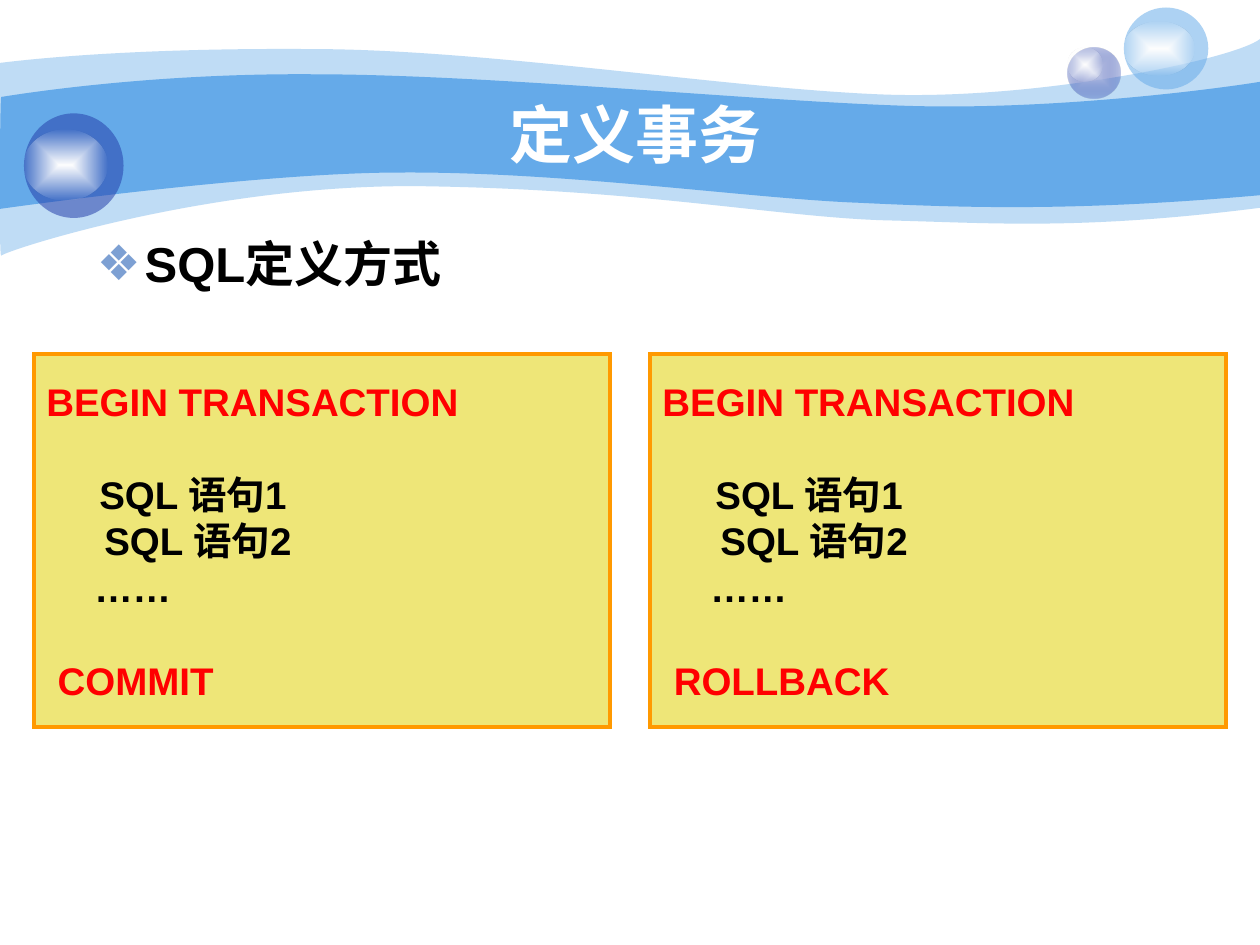
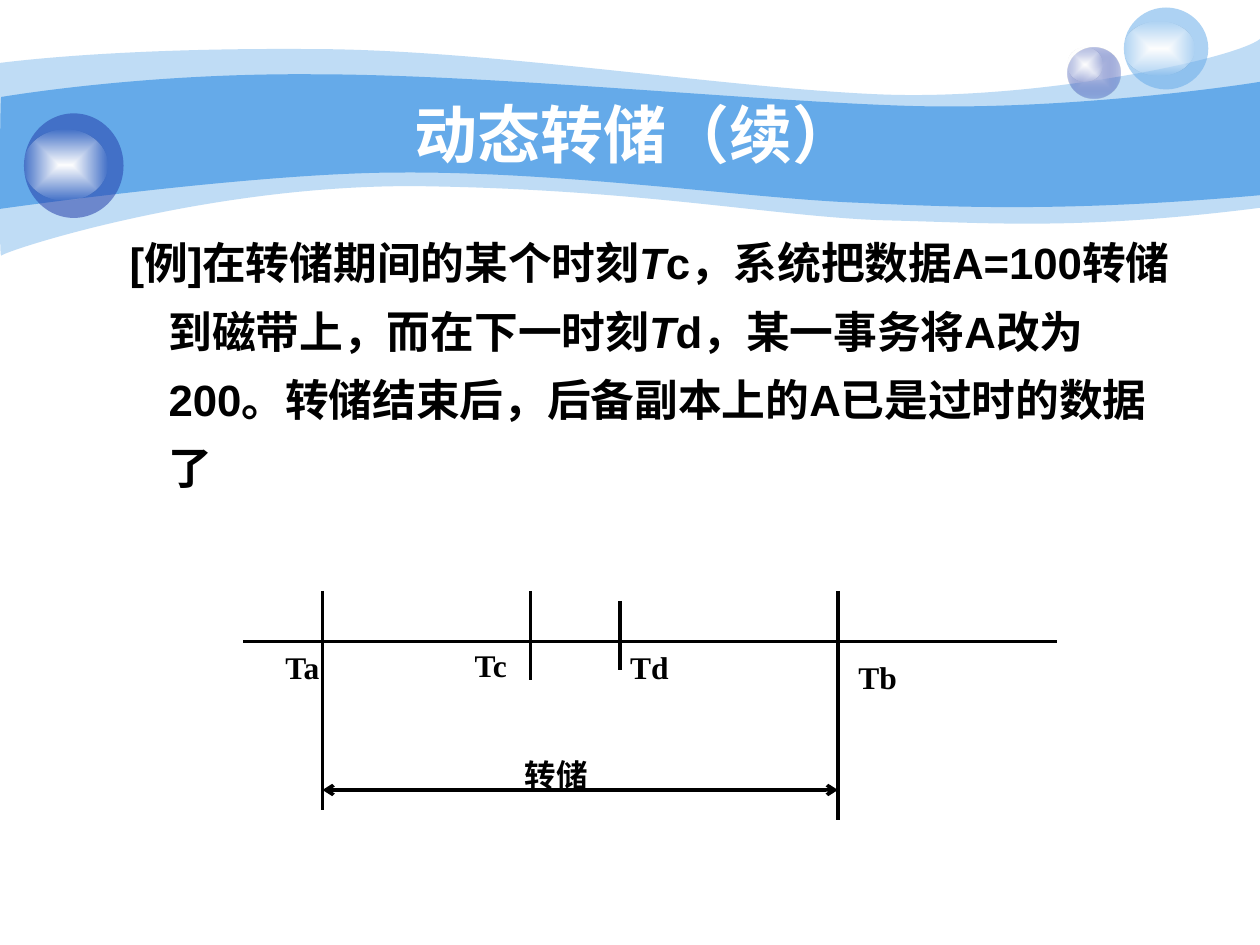
from pptx import Presentation as Deck
from pptx.dml.color import RGBColor as Rgb
from pptx.enum.shapes import MSO_CONNECTOR as Conn, MSO_SHAPE as Kind
from pptx.enum.text import MSO_ANCHOR as Anchor, PP_ALIGN as Align
from pptx.oxml import parse_xml
from pptx.oxml.ns import nsdecls, qn
from pptx.util import Inches, Pt
from lxml.etree import SubElement as Sub

HUE = {"sky": "65AAE9", "navy": "233DA9", "mist": "C7CEE9", "white": "FFFFFF",
       "black": "000000", "red": "FF0000", "sand": "EEE678", "gold": "FF9900",
       "mark": "7DA0D3"}

HEAD = {"size": Pt(36), "name": "Arial", "bold": True, "hue": "white"}
BODY = {"size": Pt(28), "name": "Arial", "bold": True, "hue": "black"}
NOTE = {**BODY, "size": Pt(25)}
CODE = {**BODY, "size": Pt(22)}
TICK = {**BODY, "size": Pt(18), "name": "Times New Roman"}

# Wave outlines: pairs are straight ends, sixes are Bezier curves
PALE = [(0, .5), (.24, .47, 1.07, .38, 2.47, .39), (3.86, .39, 5.75, .7, 6.99, .75),
        (8.22, .8, 9.8, .47, 10, .31), (10, 1.65),
        (8.58, 1.83, 7.87, 1.77, 7.05, 1.75), (6.22, 1.73, 5.15, 1.51, 3.43, 1.48),
        (1.72, 1.44, .04, 1.99, .01, 2.03), (-.01, 2.08, 0, .75, 0, .5)]
DEEP = [(.01, .77), (.02, .77, 1.1, .58, 2.48, .59), (3.86, .59, 5.95, .8, 7.18, .84),
        (8.41, .88, 9.76, .69, 10, .65), (10, 1.55),
        (8.53, 1.68, 7.65, 1.65, 6.82, 1.61), (5.99, 1.58, 4.47, 1.36, 3.17, 1.37),
        (2.03, 1.37, -.02, 1.66, -.01, 1.66), (0, 1.66, 0, .77, .01, .77)]

# Orbs: box, then fill stops of (hue, opacity)
SHINE = [("white", 100), ("white", 0)]
ORBS = [((8.47, .38, .42, .4), [("mist", 100), ("navy", 31)]),
        ((8.47, .38, .28, .27), SHINE),
        ((8.92, .06, .67, .65), [("sky", 53)]),
        ((8.92, .17, .56, .43), SHINE),
        ((.19, .9, .79, .83), [("navy", 53)]),
        ((.19, 1.03, .66, .56), SHINE)]


def rgb(hue):
    return Rgb.from_string(HUE[hue])


def span(box):
    return [Inches(v) for v in box]


def tint(stop):
    hue, pct = stop
    return f'<a:srgbClr val="{HUE[hue]}"><a:alpha val="{pct * 1000}"/></a:srgbClr>'


def paint(shape, stops):
    """Fill with one see-through colour, or a gradient from the centre out."""
    shape.shadow.inherit = False
    shape.line.fill.background()
    shape.fill.background()
    if len(stops) == 1:
        xml = f'<a:solidFill {nsdecls("a")}>{tint(stops[0])}</a:solidFill>'
    else:
        marks = "".join(f'<a:gs pos="{i * 100000}">{tint(s)}</a:gs>'
                        for i, s in enumerate(stops))
        xml = (f'<a:gradFill {nsdecls("a")} rotWithShape="1"><a:gsLst>{marks}</a:gsLst>'
               '<a:path path="rect"><a:fillToRect l="50000" t="50000" r="50000" '
               'b="50000"/></a:path></a:gradFill>')
    props = shape._element.spPr
    props.replace(props.find(qn("a:noFill")), parse_xml(xml))


def wave(slide, segs, stop):
    """Draw the outline, then bend each run of three points into a curve."""
    dots = [span(seg[i:i + 2]) for seg in segs for i in range(0, len(seg), 2)]
    form = slide.shapes.build_freeform(*dots[0], scale=1.0)
    form.add_line_segments(dots[1:], close=False)
    shape = form.convert_to_shape()
    trail = next(shape._element.iter(qn("a:path")))
    legs = iter(trail.findall(qn("a:lnTo")))
    for seg in segs[1:]:
        leg = next(legs)
        if len(seg) == 6:
            leg.addprevious(parse_xml(f'<a:cubicBezTo {nsdecls("a")}/>'))
            bend = leg.getprevious()
            for part in (leg, next(legs), next(legs)):
                bend.append(part[0])
                trail.remove(part)
    Sub(trail, qn("a:close"))
    paint(shape, [stop])


def style(run, look):
    for key, val in look.items():
        if key == "hue":
            run.font.color.rgb = rgb(val)
        else:
            setattr(run.font, key, val)


def write(par, runs, look, left=0, hang=0, **form):
    """Fill a paragraph; runs are (text, extra look) pairs."""
    for key, val in form.items():
        setattr(par, key, val)
    props = par._p.get_or_add_pPr()
    props.set("marL", str(Inches(left)))
    props.set("indent", str(Inches(-hang)))
    for text, extra in runs:
        run = par.add_run()
        run.text = text
        style(run, {**look, **extra})


def label(slide, box, runs, look, anchor=Anchor.TOP, **form):
    frame = slide.shapes.add_textbox(*span(box)).text_frame
    frame.word_wrap = True
    frame.vertical_anchor = anchor
    par = frame.paragraphs[0]
    write(par, runs, look, **form)
    return par


def bullet(par, char):
    props = par._p.get_or_add_pPr()
    Sub(Sub(props, qn("a:buClr")), qn("a:srgbClr")).set("val", HUE["mark"])
    Sub(props, qn("a:buFont")).set("typeface", "Arial")
    Sub(props, qn("a:buChar")).set("char", char)


def panel(slide, left, last):
    """Box with one transaction; rows are text, indent, gap above, hue."""
    box = slide.shapes.add_shape(Kind.RECTANGLE, *span((left, 2.81, 4.57, 2.96)))
    box.shadow.inherit = False
    box.fill.solid()
    box.fill.fore_color.rgb = rgb("sand")
    box.line.color.rgb = rgb("gold")
    box.line.width = Pt(2)
    Sub(box.line._get_or_add_ln(), qn("a:miter")).set("lim", "800000")
    frame = box.text_frame
    frame.word_wrap = True
    frame.vertical_anchor = Anchor.MIDDLE
    rows = [("BEGIN TRANSACTION", 0, 0, "red"), ("SQL 语句1", .42, 27, "black"),
            ("SQL 语句2", .46, 0, "black"), ("……", .38, 0, "black"),
            (last, .09, 27, "red")]
    for i, (text, inset, gap, hue) in enumerate(rows):
        par = frame.add_paragraph() if i else frame.paragraphs[0]
        write(par, [(text, {"hue": hue})], CODE, left=inset,
              alignment=Align.LEFT, space_before=Pt(gap))


def rule(slide, x1, y1, x2, y2, arrows=False):
    line = slide.shapes.add_connector(Conn.STRAIGHT, *span((x1, y1, x2, y2)))
    line.line.color.rgb = rgb("black")
    line.line.width = Pt(2)
    if arrows:
        for end in ("a:headEnd", "a:tailEnd"):
            Sub(line.line._get_or_add_ln(), qn(end)).set("type", "arrow")
    Sub(line._element.spPr, qn("a:effectLst"))


def adorn(slide):
    """Draw the waves and orbs, then hand them to the shared layout."""
    wave(slide, PALE, ("sky", 41))
    wave(slide, DEEP, ("sky", 100))
    for box, stops in ORBS:
        paint(slide.shapes.add_shape(Kind.OVAL, *span(box)), stops)
    tree = slide.slide_layout.shapes._spTree
    for shape in list(slide.shapes):
        tree.append(shape._element)


def base(deck, title):
    """New slide with its title; the first one sets up the layout."""
    slide = deck.slides.add_slide(deck.slide_layouts[6])
    if len(deck.slides) == 1:
        adorn(slide)
    label(slide, (1, .75, 8.08, .62), [(title, {})], HEAD,
          anchor=Anchor.MIDDLE, alignment=Align.CENTER)
    return slide


def define(deck):
    slide = base(deck, "定义事务")
    par = label(slide, (.67, 1.62, 3.31, .79), [("SQL定义方式", {})], BODY,
                left=.38, hang=.38, line_spacing=1.4, space_before=Pt(6))
    bullet(par, "❖")
    for left, last in ((.27, "COMMIT"), (5.16, "ROLLBACK")):
        panel(slide, left, last)


def dump(deck):
    slide = base(deck, "动态转储（续）")
    slant = {"italic": True}
    label(slide, (.43, 1.7, 9, 2.28),
          [("[例]在转储期间的某个时刻", {}), ("T", slant),
           ("c，系统把数据A=100转储到磁带上，而在下一时刻", {}), ("T", slant),
           ("d，某一事务将A改为200。转储结束后，后备副本上的A已是过时的数据了", {})],
          NOTE, left=.81, hang=.31, line_spacing=1.3, space_before=Pt(6.2))

    # Time axis, its ticks and the dump span
    rule(slide, 1.93, 5.09, 8.39, 5.09)
    for x, top, end in ((2.56, 4.69, 6.43), (4.21, 4.69, 5.4),
                        (4.92, 4.77, 5.32), (6.65, 4.69, 6.51)):
        rule(slide, x, top, x, end)
    rule(slide, 2.56, 6.27, 6.65, 6.27, arrows=True)
    for text, left, top, wide in (("Ta", 1.78, 5.09, 1.24), ("Tc", 3.28, 5.08, 1.23),
                                  ("Td", 4.53, 5.09, 1.25), ("Tb", 6.34, 5.17, 1.25),
                                  ("转储", 3.69, 5.95, 1.45)):
        label(slide, (left, top, wide, .4), [(text, {})], TICK, alignment=Align.CENTER)


def main():
    deck = Deck()
    deck.slide_width, deck.slide_height = Inches(10), Inches(7.5)
    define(deck)
    dump(deck)
    deck.save("out.pptx")


if __name__ == "__main__":
    main()
